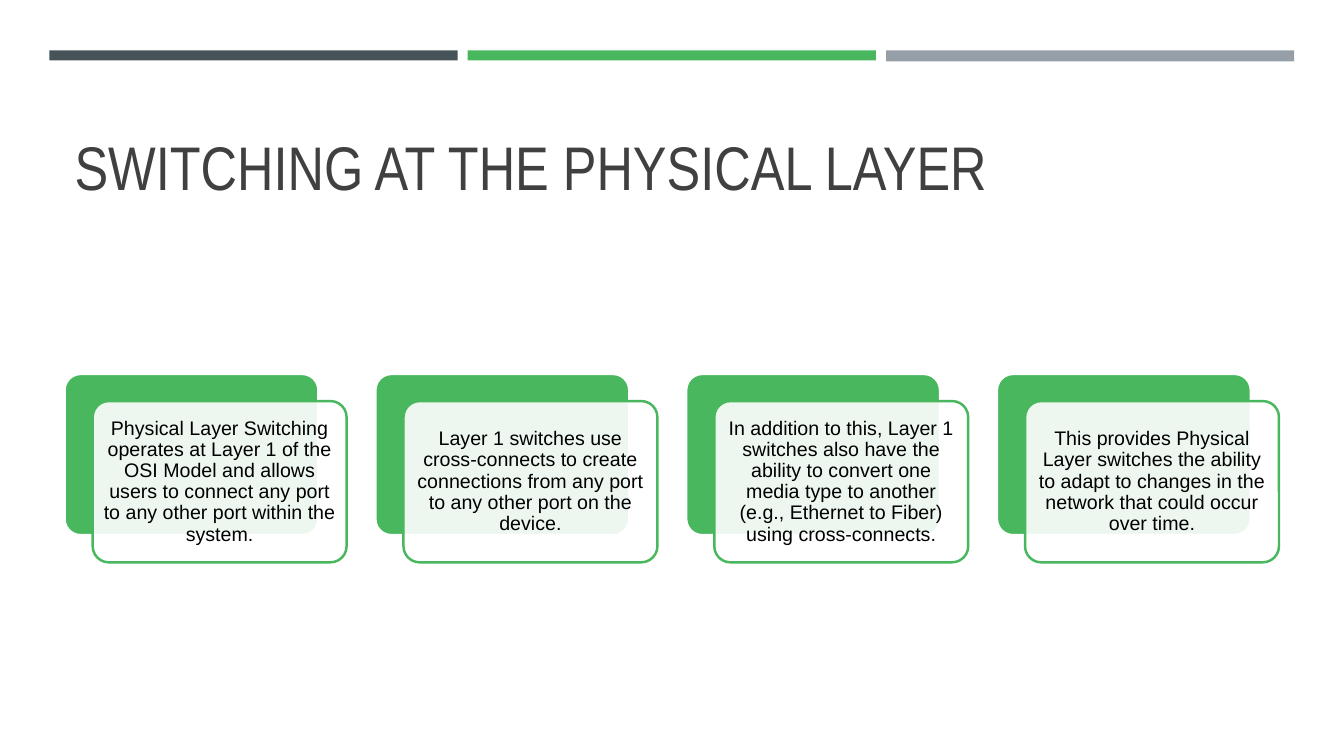
from lxml.etree import SubElement
from pptx import Presentation
from pptx.dml.color import RGBColor
from pptx.enum.shapes import MSO_SHAPE as Shape
from pptx.enum.text import MSO_ANCHOR as Anchor, MSO_AUTO_SIZE as AutoSize, PP_ALIGN as Align
from pptx.oxml.ns import qn
from pptx.util import Pt

GREEN, WHITE = "48B75D", "FFFFFF"

# Left, height and colour of the bars along the top
BARS = [(35.3, 7.2, "465359"), (334.1, 7.2, GREEN), (632.9, 7.9, "969FA7")]
BAR_TOP, BAR_WIDTH = 36, 291.6

CARD_LEFT, CARD_TOP, CARD_PITCH = 46.1, 267.1, 222
CARD_WIDTH, CARD_HEIGHT = 181.4, 115.2
FRONT_SHIFT_X, FRONT_SHIFT_Y = 20.1, 19.4

CARD_TEXTS = [
    "Physical Layer Switching operates at Layer 1 of the OSI Model and allows "
    "users to connect any port to any other port within the system.",
    "Layer 1 switches use cross-connects to create connections from any port "
    "to any other port on the device.",
    "In addition to this, Layer 1 switches also have the ability to convert one "
    "media type to another (e.g., Ethernet to Fiber) using cross-connects.",
    "This provides Physical Layer switches the ability to adapt to changes in "
    "the network that could occur over time.",
]


def color(hex_string):
    return RGBColor.from_string(hex_string)


def set_attributes(target, values):
    for name, value in values.items():
        setattr(target, name, value)


def write_text(shape, text, font, frame, align):
    text_frame = shape.text_frame
    text_frame.text = text
    set_attributes(text_frame, {"word_wrap": True, "auto_size": AutoSize.NONE, **frame})
    paragraph = text_frame.paragraphs[0]
    set_attributes(paragraph, {"alignment": align, "line_spacing": 0.9})
    font_color = font["color"]
    set_attributes(paragraph.font, {"name": font["name"], "size": Pt(font["size"])})
    paragraph.font.color.rgb = color(font_color)


def add_box(slide, kind, left, top, width, height, fill, line=None):
    shape = slide.shapes.add_shape(kind, Pt(left), Pt(top), Pt(width), Pt(height))
    shape.shadow.inherit = False
    shape.fill.solid()
    shape.fill.fore_color.rgb = color(fill)
    if line:
        shape.line.color.rgb = color(line)
        shape.line.width = Pt(1.75)
    else:
        shape.line.fill.background()
    return shape


def add_rounded_box(slide, left, top, fill, line):
    shape = add_box(slide, Shape.ROUNDED_RECTANGLE, left, top,
                    CARD_WIDTH, CARD_HEIGHT, fill, line)
    shape.adjustments[0] = 0.1
    return shape


def set_opacity(shape, percent):
    fill_color = shape.fill._xPr.find(qn("a:solidFill"))[0]
    SubElement(fill_color, qn("a:alpha")).set("val", str(percent * 1000))


def add_title(slide, text):
    title = slide.shapes.title
    set_attributes(title, {"left": Pt(46.1), "top": Pt(55.4),
                           "width": Pt(868.3), "height": Pt(93.6)})
    write_text(title, text, {"name": "Arial Narrow", "size": 44, "color": "404040"},
               {"vertical_anchor": Anchor.BOTTOM}, Align.LEFT)


def add_card(slide, left, text):
    # Green backing, then the translucent card that holds the text
    add_rounded_box(slide, left, CARD_TOP, GREEN, WHITE)
    front = add_rounded_box(slide, left + FRONT_SHIFT_X, CARD_TOP + FRONT_SHIFT_Y,
                            WHITE, GREEN)
    set_opacity(front, 90)
    margins = {f"margin_{side}": Pt(4.2) for side in ("left", "top", "right", "bottom")}
    write_text(front, text, {"name": "Arial", "size": 14, "color": "000000"},
               {"vertical_anchor": Anchor.MIDDLE, **margins}, Align.CENTER)


def main():
    presentation = Presentation()
    set_attributes(presentation, {"slide_width": Pt(960), "slide_height": Pt(540)})
    slide = presentation.slides.add_slide(presentation.slide_layouts[5])

    # Top bars
    for left, height, fill in BARS:
        add_box(slide, Shape.RECTANGLE, left, BAR_TOP, BAR_WIDTH, height, fill)

    add_title(slide, "SWITCHING AT THE PHYSICAL LAYER")

    # Row of cards
    for index, text in enumerate(CARD_TEXTS):
        add_card(slide, CARD_LEFT + index * CARD_PITCH, text)

    presentation.save("out.pptx")


if __name__ == "__main__":
    main()
